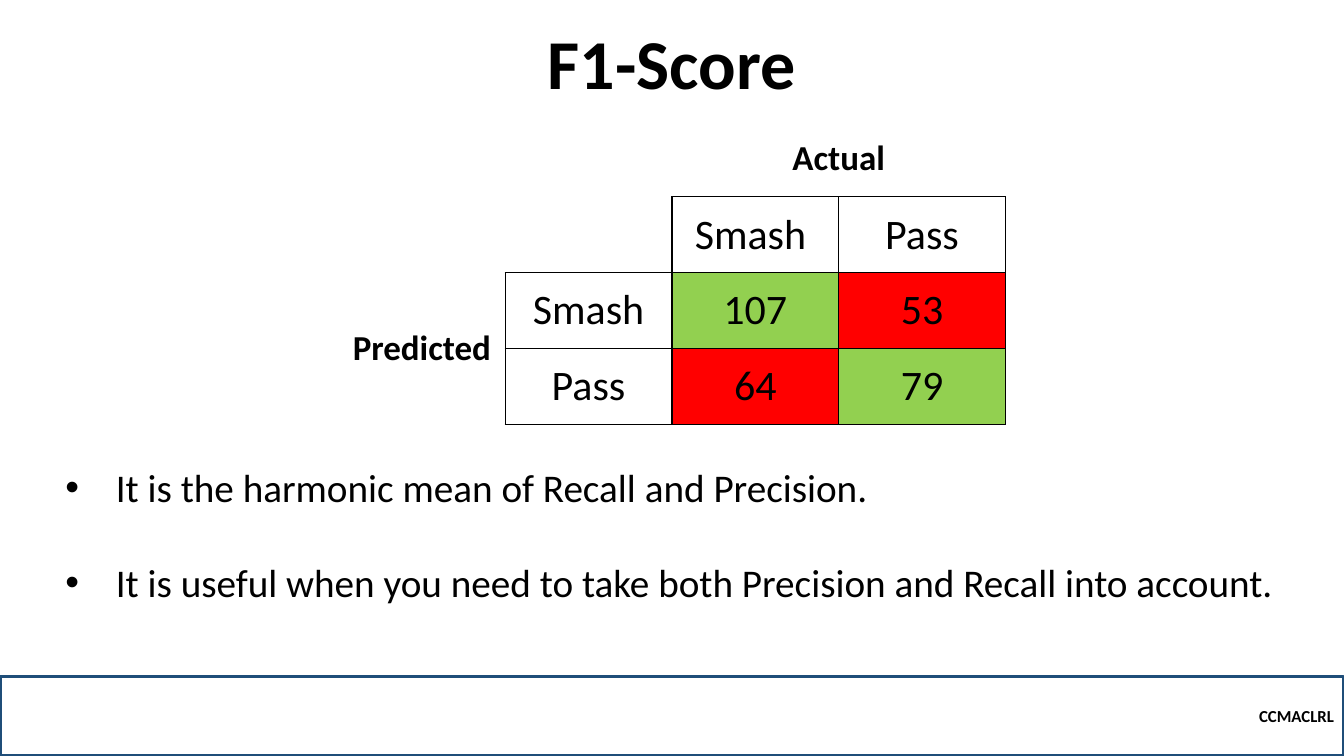
from lxml import etree
from pptx import Presentation
from pptx.dml.color import RGBColor
from pptx.enum.shapes import MSO_SHAPE as Preset
from pptx.enum.text import MSO_ANCHOR as Anchor, PP_ALIGN as Align
from pptx.oxml.ns import qn
from pptx.util import Cm, Pt

BLACK, NAVY, GREEN, RED = "000000", "1F4E79", "92D050", "FF0000"
BASE_FONT = {"name": "Calibri", "bold": False}
MATRIX = [
    ["", "", "Actual", ""],
    ["", "", "Smash ", "Pass"],
    ["Predicted", "Smash", "107", "53"],
    ["", "Pass", "64", "79"],
]
CELL_FILLS = {(2, 2): GREEN, (2, 3): RED, (3, 2): RED, (3, 3): GREEN}
EDGES = {"L": (0, -1), "R": (0, 1), "T": (-1, 0), "B": (1, 0)}
POINTS = [
    "It is the harmonic mean of Recall and Precision.",
    "It is useful when you need to take both Precision and Recall into account.",
]


def color(hex_text):
    """Return the colour for a hex string."""
    return RGBColor.from_string(hex_text)


def apply(target, values):
    """Set each named attribute of the target."""
    for name, value in values.items():
        setattr(target, name, value)


def write(paragraph, text, align=Align.LEFT, **font_values):
    """Write one run of formatted text in a paragraph."""
    paragraph.alignment = align
    run = paragraph.add_run()
    run.text = text
    apply(run.font, BASE_FONT | font_values)
    run.font.color.rgb = color(BLACK)


def add_title(slide, box):
    """Place the heading in its box."""
    frame = slide.shapes.add_textbox(*box).text_frame
    apply(frame, {"word_wrap": True, "vertical_anchor": Anchor.BOTTOM})
    heading = frame.paragraphs[0]
    heading.line_spacing = 0.9
    write(heading, "F1-Score", Align.CENTER, size=Pt(50), bold=True)


def is_boxed(row, column):
    """Tell whether a matrix position has a full border."""
    return row in (1, 2, 3) and column in (1, 2, 3) and (row, column) != (1, 1)


def draw_borders(cell, row, column):
    """Draw each cell edge that touches a boxed position."""
    properties = cell._tc.get_or_add_tcPr()
    for order, (side, (down, right)) in enumerate(EDGES.items()):
        edge = etree.Element(qn(f"a:ln{side}"), w=str(Pt(1)))
        if is_boxed(row, column) or is_boxed(row + down, column + right):
            fill = etree.SubElement(edge, qn("a:solidFill"))
            etree.SubElement(fill, qn("a:srgbClr"), val=BLACK)
        else:
            etree.SubElement(edge, qn("a:noFill"))
        properties.insert(order, edge)


def add_matrix(slide, box):
    """Place the confusion matrix in its box."""
    table = slide.shapes.add_table(len(MATRIX), len(MATRIX[0]), *box).table
    apply(table, {"first_row": False, "horz_banding": False})
    table.cell(0, 2).merge(table.cell(0, 3))
    table.cell(2, 0).merge(table.cell(3, 0))
    for row, labels in enumerate(MATRIX):
        for column, label in enumerate(labels):
            cell = table.cell(row, column)
            cell.vertical_anchor = Anchor.MIDDLE
            if (row, column) in CELL_FILLS:
                cell.fill.solid()
                cell.fill.fore_color.rgb = color(CELL_FILLS[row, column])
            else:
                cell.fill.background()
            draw_borders(cell, row, column)
            if label:
                is_axis = label in ("Actual", "Predicted")
                write(cell.text_frame.paragraphs[0], label, Align.CENTER,
                      size=Pt(25 if is_axis else 30), bold=is_axis)


def add_points(slide, box):
    """Place the bulleted statements in their box."""
    frame = slide.shapes.add_textbox(*box).text_frame
    frame.word_wrap = True
    for number, point in enumerate(POINTS):
        paragraph = frame.add_paragraph() if number else frame.paragraphs[0]
        if number:
            paragraph.space_before = Pt(34)
        write(paragraph, point, size=Pt(28))
        properties = paragraph._p.get_or_add_pPr()
        properties.set("marL", str(Cm(1.27)))
        properties.set("indent", str(-Cm(1.27)))
        etree.SubElement(properties, qn("a:buFont"), typeface="Arial")
        etree.SubElement(properties, qn("a:buChar"), char="•")


def add_footer(slide, box):
    """Place the outlined footer band in its box."""
    band = slide.shapes.add_shape(Preset.RECTANGLE, *box)
    band.shadow.inherit = False
    band.fill.background()
    band.line.color.rgb = color(NAVY)
    band.line.width = Pt(2.25)
    band.text_frame.vertical_anchor = Anchor.MIDDLE
    write(band.text_frame.paragraphs[0], "CCMACLRL", Align.RIGHT,
          size=Pt(12), bold=True)


def main():
    """Build and save the slide."""
    deck = Presentation()
    apply(deck, {"slide_width": Cm(33.87), "slide_height": Cm(19.05)})
    slide = deck.slides.add_slide(deck.slide_layouts[6])
    add_footer(slide, (Cm(0), Cm(17.04), Cm(33.87), Cm(2.01)))
    add_title(slide, (Cm(1.27), Cm(0.74), Cm(31.32), Cm(2.01)))
    add_matrix(slide, (Cm(8.53), Cm(3.05), Cm(16.81), Cm(7.64)))
    add_points(slide, (Cm(1.4), Cm(11.56), Cm(31.06), Cm(3.84)))
    deck.save("out.pptx")


if __name__ == "__main__":
    main()
